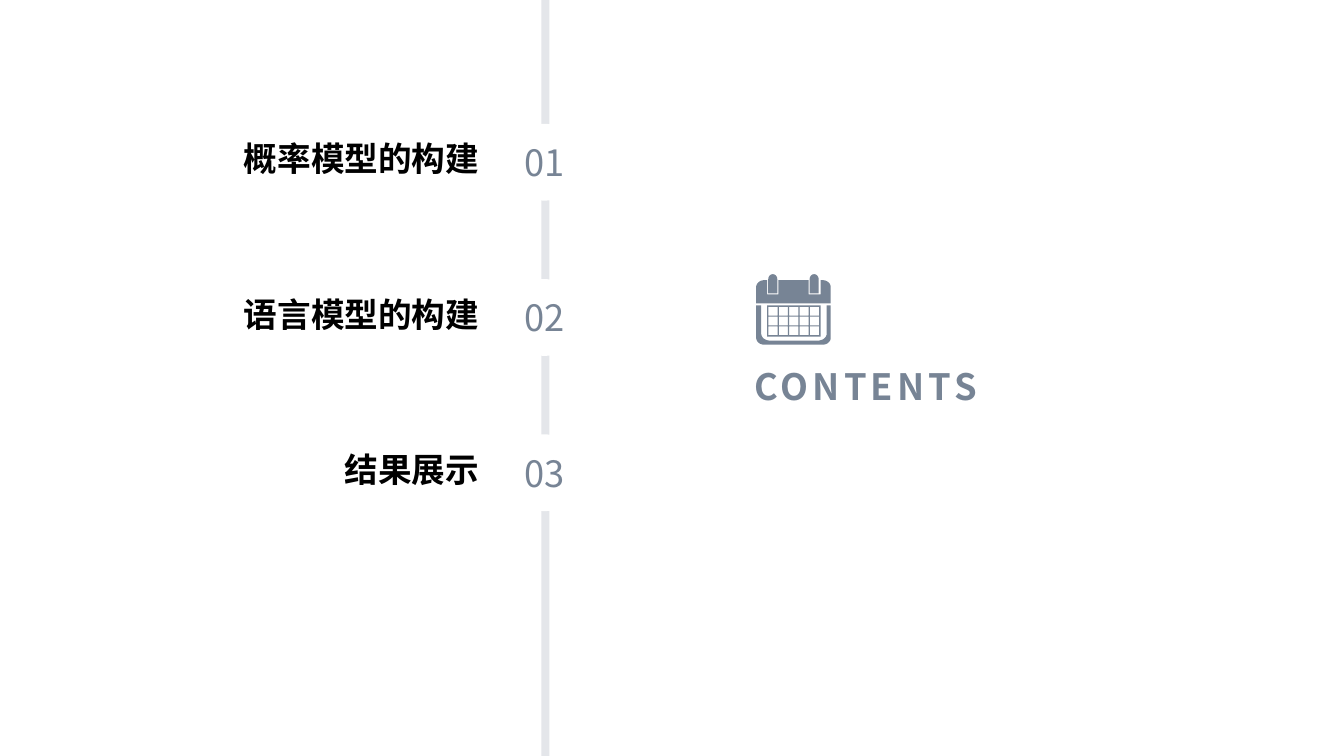
from math import cos, radians, sin

from lxml import etree
from pptx import Presentation
from pptx import util as u
from pptx.dml.color import RGBColor
from pptx.enum import shapes, text
from pptx.oxml.ns import qn

CELL = u.Inches(0.01)  # the page is a grid of 1333 columns by 750 rows
COLUMNS, ROWS = 1333, 750
FONT = "Noto Sans CJK SC"
BLACK, WHITE, SLATE, MIST = "000000", "FFFFFF", "778495", "E4E6EA"
CHAPTERS = [("概率模型的构建", 56), ("语言模型的构建", 42), ("结果展示", 42)]  # label, rows high


def colour(hex_value):
    return RGBColor.from_string(hex_value)


def cells(*lengths):
    return [round(length * CELL) for length in lengths]


def paint(shape, fill, line_width=0):
    """Fill a shape, with an outline of the same colour when a width is given."""
    shape.shadow.inherit = False
    shape.fill.solid()
    shape.fill.fore_color.rgb = colour(fill)
    if line_width:
        shape.line.color.rgb = colour(fill)
        shape.line.width = u.Pt(line_width)
    else:
        shape.line.fill.background()


def write(shape, words, anchor, align, size, hex_value, bold=False, wrap=True,
          line_spacing=None, tracking=None):
    frame = shape.text_frame
    frame.word_wrap = wrap
    frame.vertical_anchor = anchor
    para = frame.paragraphs[0]
    para.alignment = align
    para.line_spacing = line_spacing
    span = para.add_run()
    span.text = words
    formats = {"name": FONT, "size": u.Pt(size), "bold": bold}
    for name, value in formats.items():
        setattr(span.font, name, value)
    span.font.color.rgb = colour(hex_value)
    properties = span.font._element
    etree.SubElement(properties, qn("a:ea")).set("typeface", FONT)
    if tracking:
        properties.set("spc", str(tracking * 100))


def draw_timeline(page, left, top, width):
    """Vertical bar with a numbered stop and a right-aligned label per chapter."""
    stop, pitch, bar_width, label_width = 70, 154, 8, 408
    stop_left = left + width - stop
    bar_left = stop_left + (stop - bar_width) / 2 + 1
    bar = page.shapes.add_shape(shapes.MSO_SHAPE.RECTANGLE, *cells(bar_left, 0, bar_width, ROWS))
    paint(bar, MIST)
    for index, (label, height) in enumerate(CHAPTERS):
        stop_top = top + index * pitch
        circle = page.shapes.add_shape(
            shapes.MSO_SHAPE.OVAL, *cells(stop_left, stop_top, stop, stop))
        paint(circle, WHITE, 4.5)
        write(circle, f"{index + 1:02}", text.MSO_ANCHOR.MIDDLE, text.PP_ALIGN.CENTER,
              25.9, SLATE, wrap=False)
        bottom = stop_top + stop * 0.8
        box = page.shapes.add_textbox(*cells(left, bottom - height, label_width, height))
        write(box, label, text.MSO_ANCHOR.BOTTOM, text.PP_ALIGN.RIGHT, 24, BLACK, bold=True)


def arc(x, y, radius_x, radius_y, start, end, steps=8):
    """Points of an elliptical arc around (x, y), angles in degrees clockwise from the right."""
    angles = [radians(start + (end - start) * step / steps) for step in range(steps + 1)]
    return [(x + radius_x * cos(angle), y + radius_y * sin(angle)) for angle in angles]


def rectangle(x, y, width, height):
    return [(x, y), (x + width, y), (x + width, y + height), (x, y + height)]


def calendar_outlines():
    """Closed outlines of a calendar, 74 columns by 70 rows."""
    tray = [(0, 31), (5, 31), *arc(14, 59, 9, 7, 180, 90), *arc(61, 59, 9, 7, 90, 0),
            (70, 31), (74, 31), *arc(66, 63, 8, 7, 0, 90), *arc(8, 63, 8, 7, 90, 180)]
    header = [*arc(8, 13, 8, 7, 180, 270), (11, 6), (11, 20), (22, 20), (22, 6),
              (52, 6), (52, 20), (64, 20), (64, 6), *arc(66, 13, 8, 7, 270, 360),
              (74, 29), (0, 29)]
    rings = [[*arc(x + 4.5, 5, 4.5, 5, 180, 360), (x + 9, 19), (x, 19)] for x in (12, 53)]
    days = [rectangle(12.2 + 10.3 * column, 32.5 + 9.7 * row, 9, 8.6)[::-1]
            for row in range(3) for column in range(5)]
    return [tray, header, *rings, rectangle(11, 31, 53, 31), *days]


def draw_calendar(page, left, top):
    builder = None
    for outline in calendar_outlines():
        first, *rest = [cells(left + x, top + y) for x, y in outline]
        if builder is None:
            builder = page.shapes.build_freeform(*first)
        else:
            builder.move_to(*first)
        builder.add_line_segments(rest, close=True)
    paint(builder.convert_to_shape(), SLATE)


def draw_heading(page, left, top):
    """Calendar sign above the page's heading."""
    draw_calendar(page, left + 12, top)
    box = page.shapes.add_textbox(*cells(left, top + 69, 352, 66))
    write(box, "CONTENTS", text.MSO_ANCHOR.MIDDLE, text.PP_ALIGN.LEFT, 25.9, SLATE,
          bold=True, line_spacing=1.4, tracking=3)


def main():
    deck = Presentation()
    deck.slide_width, deck.slide_height = cells(COLUMNS, ROWS)
    page = deck.slides.add_slide(deck.slide_layouts[6])
    draw_timeline(page, left=77, top=126, width=498)
    draw_heading(page, left=738, top=272)
    deck.save("out.pptx")


if __name__ == "__main__":
    main()
